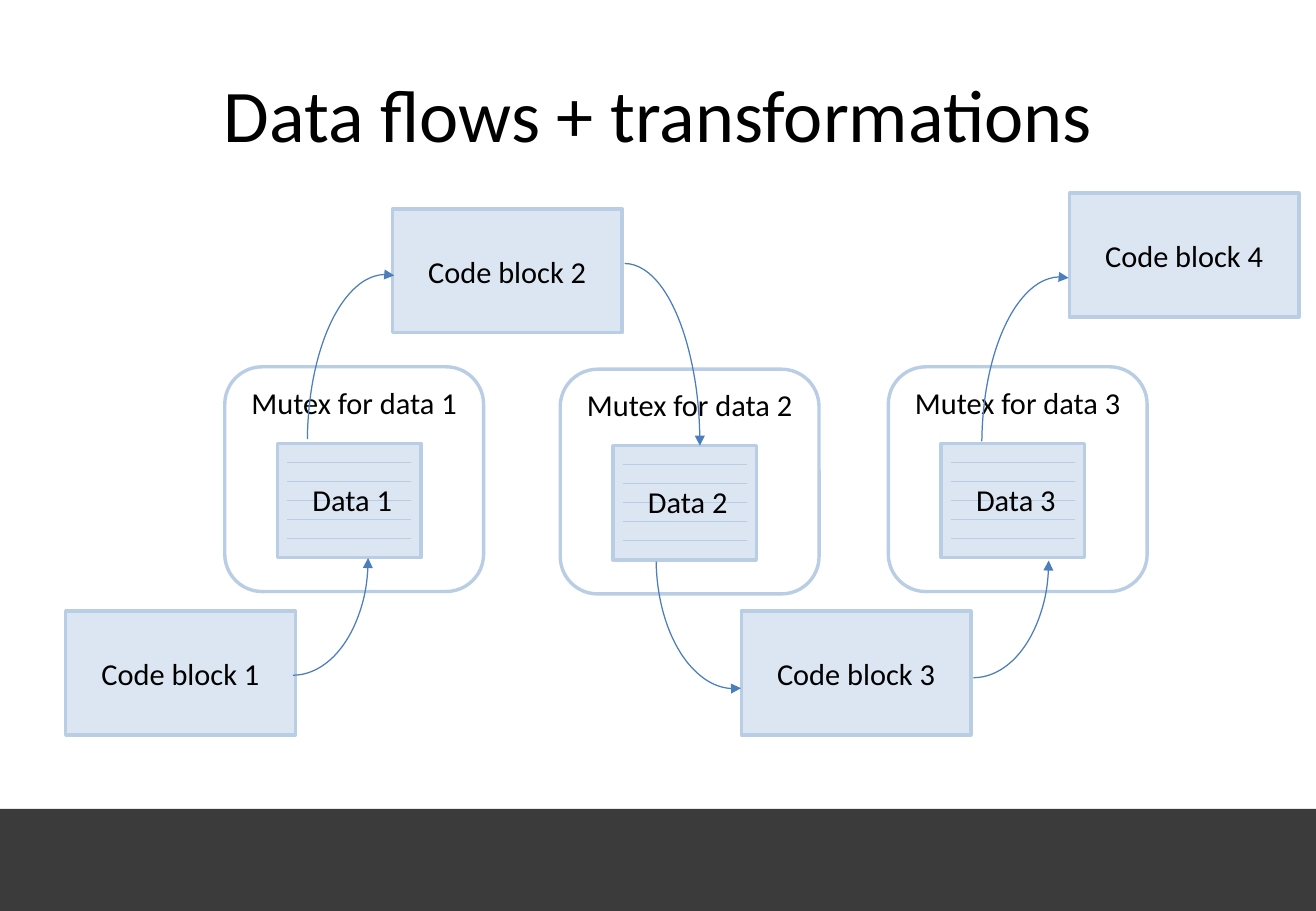
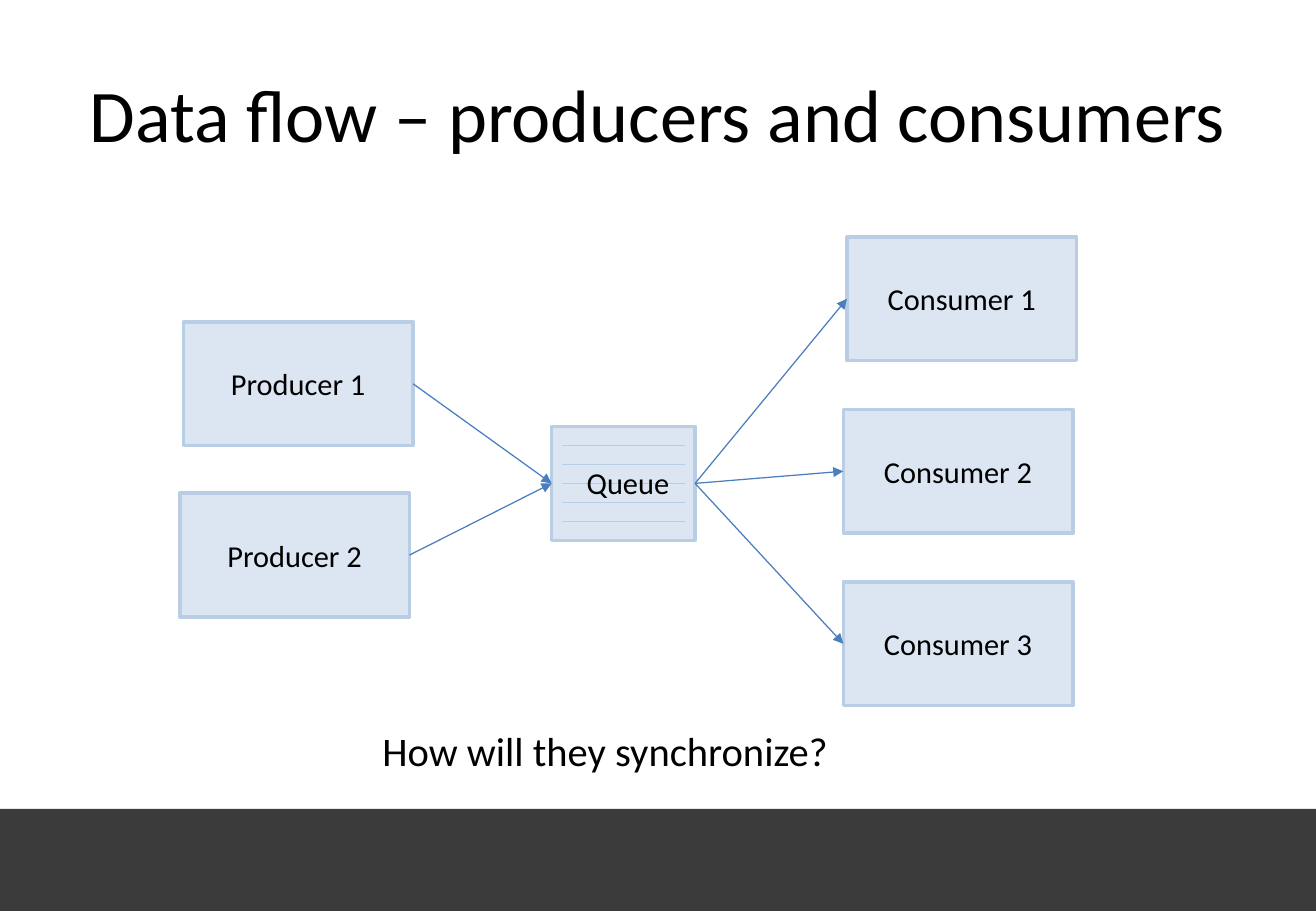
import pptx
import pptx.util
import pptx.dml.color
import pptx.enum.shapes
import pptx.enum.text
import pptx.oxml
import pptx.oxml.ns

RGB = pptx.dml.color.RGBColor
SHAPE = pptx.enum.shapes.MSO_SHAPE
STRAIGHT = pptx.enum.shapes.MSO_CONNECTOR.STRAIGHT
ANCHOR = pptx.enum.text.MSO_ANCHOR
ALIGN = pptx.enum.text.PP_ALIGN
qn = pptx.oxml.ns.qn

BLACK = RGB(0x00, 0x00, 0x00)
WHITE = RGB(0xFF, 0xFF, 0xFF)
BAND = RGB(0x3B, 0x3B, 0x3B)
PALE = RGB(0xDC, 0xE6, 0xF2)
EDGE = RGB(0xB9, 0xCD, 0xE5)
ARROW = RGB(0x4B, 0x7E, 0xBC)
FONT = "Calibri"

WIDTH, HEIGHT = pptx.util.Inches(10.83), pptx.util.Inches(7.5)
BLOCK = (17.45, 13.6)
MUTEX = (19.67, 24.67)
DATA = (10.9, 12.53)
DATA_IN_MUTEX = (4.01, 8.4)
RULES = 5
LEFT_SITE, RIGHT_SITE = 1, 3


def col(share):
    return round(WIDTH * share / 100)


def row(share):
    return round(HEIGHT * share / 100)


def area(x, y, w, h):
    return col(x), row(y), col(w), row(h)


def set_text(sp, text, size=18, align=ALIGN.CENTER, anchor=ANCHOR.MIDDLE):
    tf = sp.text_frame
    tf.text = text
    tf.word_wrap = True
    tf.vertical_anchor = anchor
    p = tf.paragraphs[0]
    p.alignment = align
    font = p.runs[0].font
    font.name, font.size = FONT, pptx.util.Pt(size)
    font.color.rgb = BLACK


def add_text(shapes, text, box, **style):
    set_text(shapes.add_textbox(*area(*box)), text, **style)


def add_panel(shapes, kind, box, fill, edge=EDGE):
    sp = shapes.add_shape(kind, *area(*box))
    sp.shadow.inherit = False
    sp.fill.solid()
    sp.fill.fore_color.rgb = fill
    if edge is None:
        sp.line.fill.background()
    else:
        sp.line.color.rgb = edge
        sp.line.width = pptx.util.Pt(2)
    return sp


def style_line(sp, color, arrow=False):
    sp.line.color.rgb = color
    sp.line.width = pptx.util.Pt(0.75)
    if arrow:
        ln = sp._element.spPr.find(qn("a:ln"))
        ln.append(pptx.oxml.parse_xml(
            f'<a:tailEnd {pptx.oxml.ns.nsdecls("a")} type="triangle"/>'))


def add_line(shapes, start, end, color, arrow=False):
    cx = shapes.add_connector(STRAIGHT, *start, *end)
    style_line(cx, color, arrow)
    cx._element.spPr.append(pptx.oxml.parse_xml(
        f'<a:effectLst {pptx.oxml.ns.nsdecls("a")}/>'))
    return cx


def add_link(slide, source, target):
    cx = add_line(slide.shapes, (0, 0), (0, 0), ARROW, arrow=True)
    cx.begin_connect(source, RIGHT_SITE)
    cx.end_connect(target, LEFT_SITE)


def add_arc(slide, box, flip="", angles=None):
    sp = slide.shapes.add_shape(SHAPE.ARC, *area(*box))
    sp.shadow.inherit = False
    sp.fill.background()
    style_line(sp, ARROW, arrow=True)
    for i, angle in enumerate(angles or ()):
        sp.adjustments[i] = angle
    xfrm = sp._element.spPr.find(qn("a:xfrm"))
    for axis in flip:
        xfrm.set("flip" + axis, "1")


def add_block(slide, text, x, y):
    sp = add_panel(slide.shapes, SHAPE.RECTANGLE, (x, y, *BLOCK), PALE)
    set_text(sp, text)
    return sp


def add_data(slide, text, x, y):
    w, h = DATA
    group = slide.shapes.add_group_shape()
    box = add_panel(group.shapes, SHAPE.RECTANGLE, (x, y, w, h), PALE)
    for i in range(1, RULES + 1):
        level = row(y + h * i / (RULES + 1))
        add_line(group.shapes, (col(x + 0.75), level), (col(x + w - 0.75), level), EDGE)
    add_text(slide.shapes, text, (x + 1.75, y + 3.47, 9, 5.33),
             align=ALIGN.LEFT, anchor=ANCHOR.TOP)
    return box


def add_mutex(slide, number, x, y):
    sp = add_panel(slide.shapes, SHAPE.ROUNDED_RECTANGLE, (x, y, *MUTEX), WHITE)
    set_text(sp, f"Mutex for data {number}", anchor=ANCHOR.TOP)
    dx, dy = DATA_IN_MUTEX
    add_data(slide, f"Data {number}", x + dx, y + dy)


def add_slide(prs, title):
    slide = prs.slides.add_slide(prs.slide_layouts[6])
    add_panel(slide.shapes, SHAPE.RECTANGLE, (0, 88.8, 100, 11.2), BAND, edge=None)
    add_text(slide.shapes, title, (5, 4, 90, 16.67), size=44)
    return slide


def build_transformations(prs):
    slide = add_slide(prs, "Data flows + transformations")
    mutexes = [(17.08, 40.27), (42.57, 40.53), (67.5, 40.27)]
    for number, place in enumerate(mutexes, 1):
        add_mutex(slide, number, *place)
    blocks = [(4.99, 67.07), (29.82, 22.93), (56.33, 67.07), (81.26, 21.2)]
    for number, place in enumerate(blocks, 1):
        add_block(slide, f"Code block {number}", *place)

    quarter = (1.59, 55.74)
    add_arc(slide, (41.74, 28.93, 11.45, 40))
    add_arc(slide, (49.86, 46.93, 11.91, 28.67), "H", quarter)
    for x, y in [(23.36, 30.13), (74.61, 30.4)]:
        add_arc(slide, (x, y, 11.91, 36.93), "HV", quarter)
    for x, y in [(16.53, 48.4), (68.24, 48.67)]:
        add_arc(slide, (x, y, 11.45, 25.73), "V")


def build_producers(prs):
    slide = add_slide(prs, "Data flow – producers and consumers")
    producers = [add_block(slide, f"Producer {n}", *place)
                 for n, place in enumerate([(13.94, 35.33), (13.67, 54.13)], 1)]
    queue = add_data(slide, "Queue", 41.92, 46.8)
    places = [(64.36, 26), (64.08, 44.93), (64.08, 63.87)]
    consumers = [add_block(slide, f"Consumer {n}", *place)
                 for n, place in enumerate(places, 1)]
    for producer in producers:
        add_link(slide, producer, queue)
    for consumer in consumers:
        add_link(slide, queue, consumer)
    add_text(slide.shapes, "How will they synchronize?", (28.16, 79.07, 55.03, 6.67),
             size=24, align=ALIGN.LEFT, anchor=ANCHOR.TOP)


def main():
    prs = pptx.Presentation()
    prs.slide_width, prs.slide_height = WIDTH, HEIGHT
    build_transformations(prs)
    build_producers(prs)
    prs.save("out.pptx")


if __name__ == "__main__":
    main()
